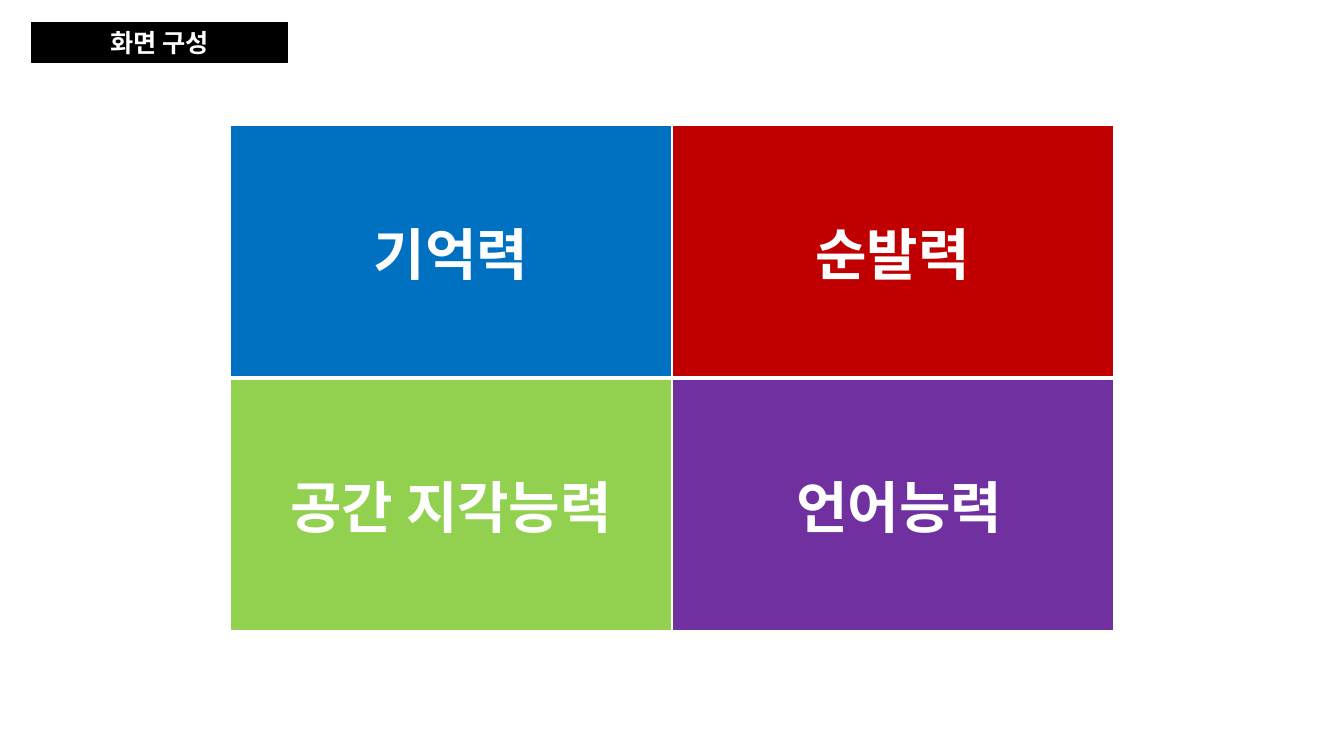
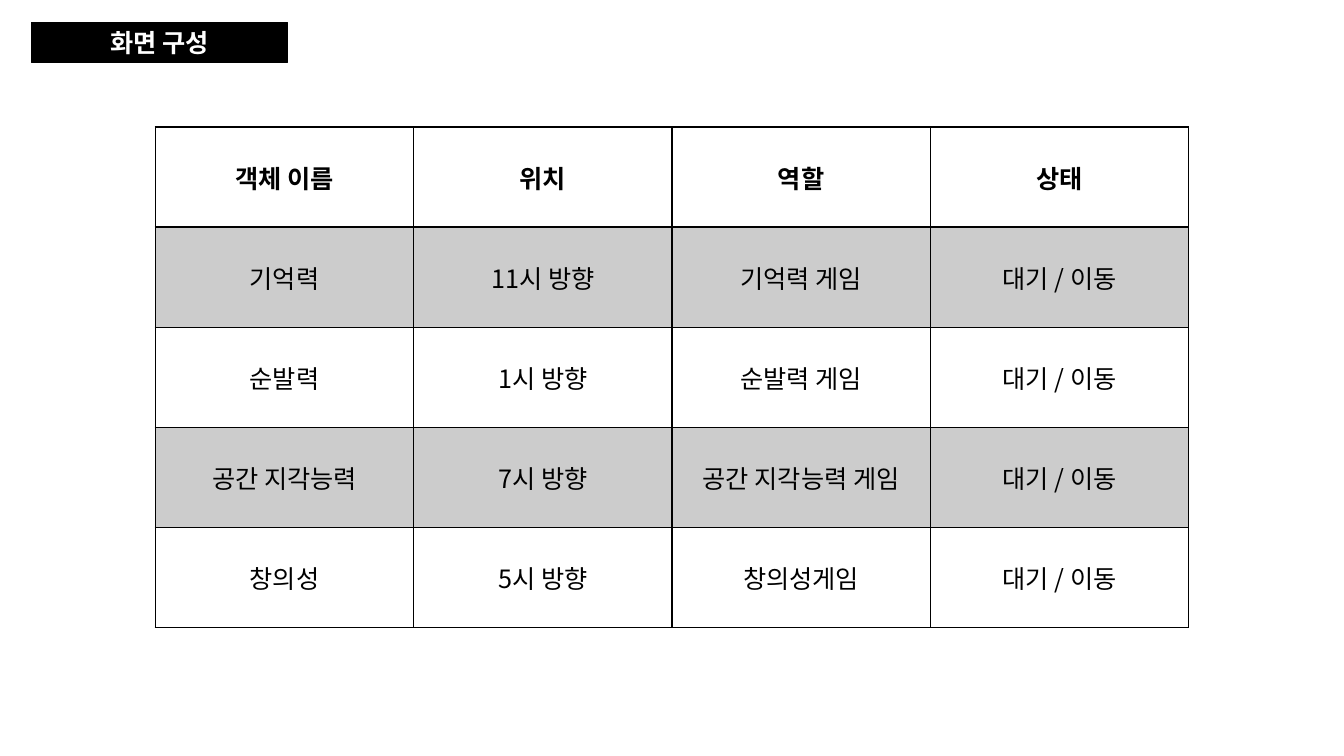
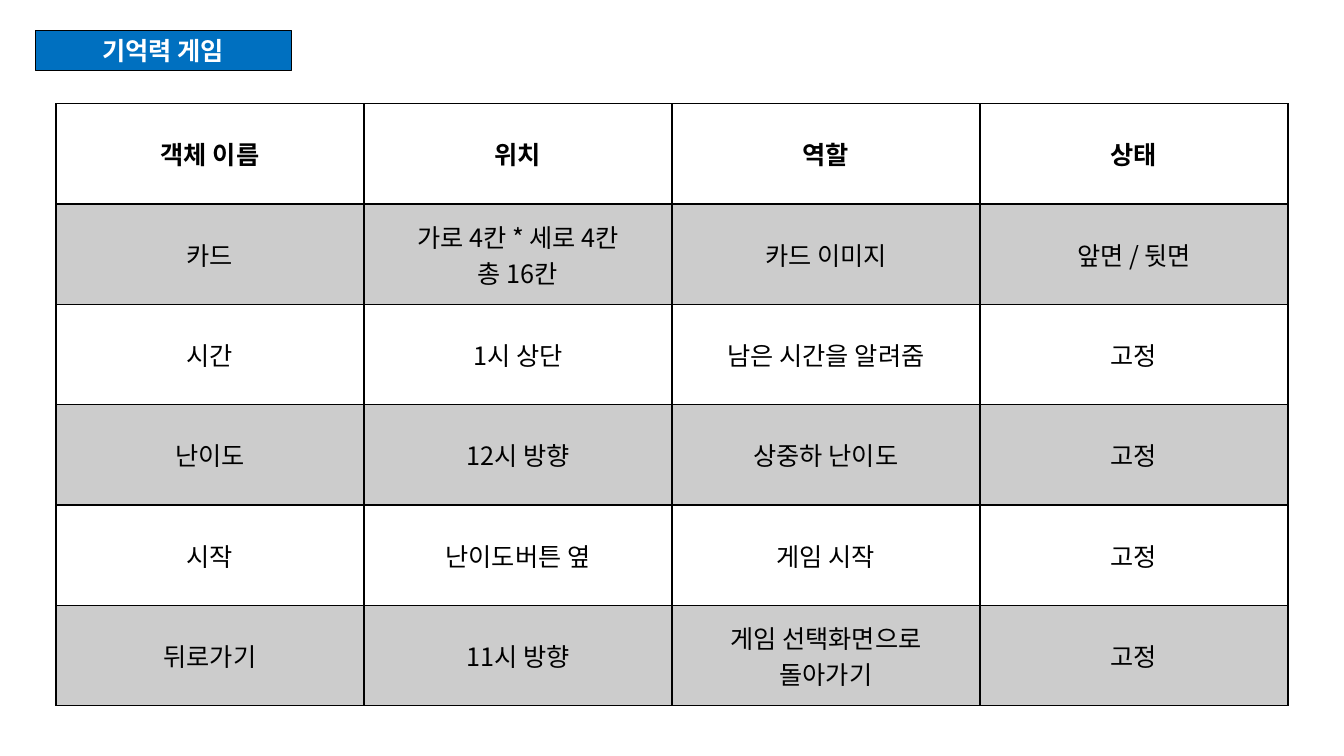
from dataclasses import dataclass

from lxml import etree
from pptx import Presentation
from pptx.dml.color import RGBColor
from pptx.enum.text import MSO_ANCHOR, MSO_AUTO_SIZE, PP_ALIGN
from pptx.oxml.ns import qn
from pptx.util import Inches, Pt

MIDDLE = MSO_ANCHOR.MIDDLE
CENTER = PP_ALIGN.CENTER
FIXED_SIZE = MSO_AUTO_SIZE.NONE

SLIDE_WIDTH, SLIDE_HEIGHT = 13.33, 7.5
LABEL_WIDTH, LABEL_HEIGHT = 2.54, 0.4
TITLE_ONLY = 5
FONT = "Noto Sans CJK KR"
PLAIN_TABLE_STYLE = "{2D5ABB26-0587-4C30-8999-92F81FD0307C}"

BLACK, WHITE = "000000", "FFFFFF"
BLUE, RED, GREEN, PURPLE = "0070C0", "C00000", "92D050", "7030A0"
BAND_OPACITY = 20

SCREEN_TITLE = "화면 구성"
HEADINGS = ("객체 이름", "위치", "역할", "상태")
WAIT_OR_MOVE = "대기 / 이동"
FIXED = "고정"


@dataclass(frozen=True)
class Label:
    text: str
    left: float = 0.31
    top: float = 0.22
    color: str = BLACK


@dataclass(frozen=True)
class Grid:
    rows: tuple[tuple[str, ...], ...]
    top: float
    width: float
    height: float
    ink: str = BLACK
    rule: str = BLACK
    first_rule: float = 2
    size: float = 18
    all_bold: bool = False
    tiles: tuple[tuple[str, ...], ...] = ()


@dataclass(frozen=True)
class Page:
    label: Label
    grid: Grid


PAGES = (
    Page(
        Label(SCREEN_TITLE),
        Grid(
            (("기억력", "순발력"), ("공간 지각능력", " 언어능력")),
            top=1.24, width=8.76, height=5.02,
            ink=WHITE, rule=WHITE, first_rule=3, size=40, all_bold=True,
            tiles=((BLUE, RED), (GREEN, PURPLE)),
        ),
    ),
    Page(
        Label(SCREEN_TITLE),
        Grid(
            (
                HEADINGS,
                ("기억력", "11시 방향", "기억력 게임", WAIT_OR_MOVE),
                ("순발력", "1시 방향", "순발력 게임", WAIT_OR_MOVE),
                ("공간 지각능력", "7시 방향", "공간 지각능력 게임", WAIT_OR_MOVE),
                ("창의성", "5시 방향", "창의성게임", WAIT_OR_MOVE),
            ),
            top=1.26, width=10.25, height=4.97,
        ),
    ),
    Page(
        Label("기억력 게임", left=0.35, top=0.3, color=BLUE),
        Grid(
            (
                HEADINGS,
                ("카드", "가로 4칸 * 세로 4칸\n총 16칸", "카드 이미지", "앞면 / 뒷면"),
                ("시간", "1시 상단", "남은 시간을 알려줌", FIXED),
                ("난이도", "12시 방향", "상중하 난이도", FIXED),
                ("시작", "난이도버튼 옆", "게임 시작", FIXED),
                ("뒤로가기", "11시 방향", "게임 선택화면으로\n돌아가기", FIXED),
            ),
            top=1.03, width=12.22, height=5.97,
        ),
    ),
)


def paint(target, color: str) -> None:
    target.solid()
    target.fore_color.rgb = RGBColor.from_string(color)


def write(frame, text: str, size: float, color: str, bold: bool) -> None:
    frame.text = text
    for paragraph in frame.paragraphs:
        paragraph.alignment = CENTER
        font = paragraph.font
        font.size, font.bold, font.name = Pt(size), bold, FONT
        paint(font.fill, color)
        defaults = paragraph._p.pPr.find(qn("a:defRPr"))
        etree.SubElement(defaults, qn("a:ea"), typeface=FONT)


def draw_border(cell, side: str, color: str, points: float) -> None:
    properties = cell._tc.get_or_add_tcPr()
    line = etree.SubElement(properties, qn(f"a:ln{side}"), w=str(Pt(points)))
    fill = etree.SubElement(line, qn("a:solidFill"))
    etree.SubElement(fill, qn("a:srgbClr"), val=color)


def fill_band(cell) -> None:
    paint(cell.fill, BLACK)
    color = cell._tc.tcPr.find(qn("a:solidFill")).find(qn("a:srgbClr"))
    etree.SubElement(color, qn("a:alpha"), val=str(BAND_OPACITY * 1000))


def draw_label(slide, label: Label) -> None:
    title = slide.shapes.title
    title.left, title.top = Inches(label.left), Inches(label.top)
    title.width, title.height = Inches(LABEL_WIDTH), Inches(LABEL_HEIGHT)
    paint(title.fill, label.color)
    paint(title.line.fill, BLACK)
    title.line.width = Pt(0.75)
    frame = title.text_frame
    frame.auto_size, frame.vertical_anchor = FIXED_SIZE, MIDDLE
    write(frame, label.text, 18, WHITE, True)


def draw_grid(slide, grid: Grid) -> None:
    table = slide.shapes.add_table(
        len(grid.rows), len(grid.rows[0]),
        Inches((SLIDE_WIDTH - grid.width) / 2), Inches(grid.top),
        Inches(grid.width), Inches(grid.height),
    ).table
    table.first_row = table.horz_banding = False
    table._tbl.tblPr.find(qn("a:tableStyleId")).text = PLAIN_TABLE_STYLE
    for r, texts in enumerate(grid.rows):
        for c, text in enumerate(texts):
            cell = table.cell(r, c)
            cell.vertical_anchor = MIDDLE
            write(cell.text_frame, text, grid.size, grid.ink, grid.all_bold or r == 0)
            rules = {
                "L": 1,
                "R": 1,
                "T": grid.first_rule if r == 1 else 1,
                "B": grid.first_rule if r == 0 else 1,
            }
            for side, points in rules.items():
                draw_border(cell, side, grid.rule, points)
            if grid.tiles:
                paint(cell.fill, grid.tiles[r][c])
            elif r % 2:
                fill_band(cell)
            else:
                cell.fill.background()


def main() -> None:
    deck = Presentation()
    deck.slide_width, deck.slide_height = Inches(SLIDE_WIDTH), Inches(SLIDE_HEIGHT)
    for page in PAGES:
        slide = deck.slides.add_slide(deck.slide_layouts[TITLE_ONLY])
        draw_label(slide, page.label)
        draw_grid(slide, page.grid)
    deck.save("out.pptx")


if __name__ == "__main__":
    main()
